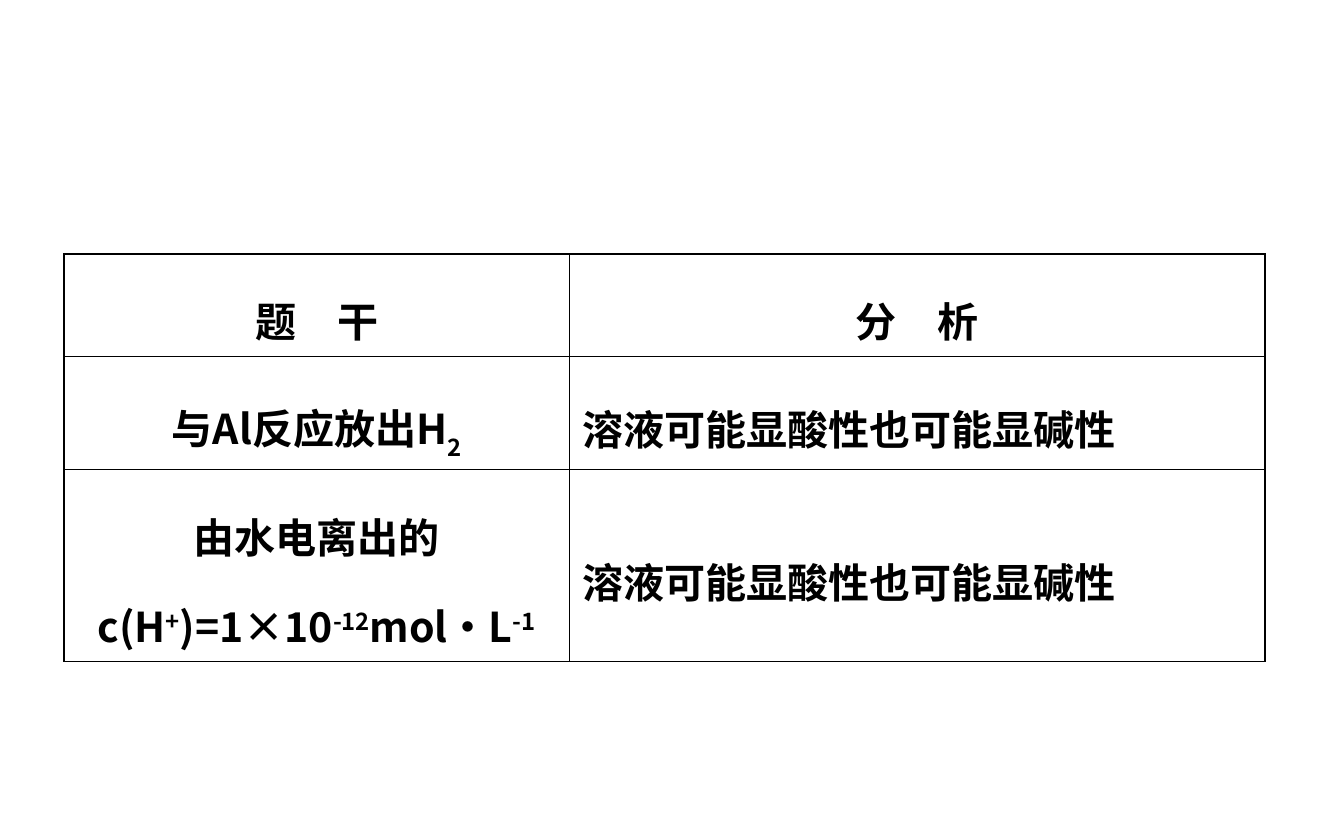
from lxml.etree import SubElement
from pptx import Presentation
from pptx.dml.color import RGBColor
from pptx.enum.lang import MSO_LANGUAGE_ID
from pptx.enum.text import MSO_ANCHOR, PP_ALIGN
from pptx.oxml.ns import qn
from pptx.util import Pt

PX = 914400 / 134.4
BLACK = RGBColor(0, 0, 0)
FACE = "Noto Sans CJK SC"
FONT = {"name": FACE, "size": Pt(22), "bold": True,
        "language_id": MSO_LANGUAGE_ID.SIMPLIFIED_CHINESE}
THIN, THICK = Pt(0.45), Pt(0.96)
COLS = [505, 696]
ROWS = [87, 112, 175]
BASE = {"^": "30000", "_": "-30000"}
NOTE = [("溶液可能显酸性也可能显碱性", "")]
CELLS = [
    [[("题　干", "")], [("分　析", "")]],
    [[("与Al反应放出H", ""), ("2", "_")], NOTE],
    [[("由水电离出的c(H", ""), ("+", "^"), (")=1×10", ""),
      ("-12", "^"), ("mol·L", ""), ("-1", "^")], NOTE],
]


def px(n):
    """Turn pixels into EMU."""
    return round(n * PX)


def style(obj, vals):
    """Set each attribute in vals on obj."""
    for key, val in vals.items():
        setattr(obj, key, val)


def edge(cell, side, width):
    """Draw one black border of a cell."""
    line = SubElement(cell._tc.get_or_add_tcPr(), qn(f"a:ln{side}"), w=str(width))
    fill = SubElement(line, qn("a:solidFill"))
    SubElement(fill, qn("a:srgbClr"), val=str(BLACK))


def write(para, runs):
    """Add text runs, raised or lowered by their mark."""
    for text, mark in runs:
        run = para.add_run()
        run.text = text
        style(run.font, FONT)
        run.font.color.rgb = BLACK
        props = run.font._element
        SubElement(props, qn("a:ea"), typeface=FACE)
        if mark:
            props.set("baseline", BASE[mark])


def grid(slide, left, top):
    """Place the table of stems and analysis."""
    table = slide.shapes.add_table(len(ROWS), len(COLS), px(left), px(top),
                                   px(sum(COLS)), px(sum(ROWS))).table
    style(table, {"first_row": False, "horz_banding": False})
    for col, wide in zip(table.columns, COLS):
        col.width = px(wide)
    for row, tall in zip(table.rows, ROWS):
        row.height = px(tall)
    for r, line in enumerate(CELLS):
        for c, runs in enumerate(line):
            cell = table.cell(r, c)
            outer = {"L": c == 0, "R": c == len(COLS) - 1,
                     "T": r == 0, "B": r == len(ROWS) - 1}
            for side, out in outer.items():
                edge(cell, side, THICK if out else THIN)
            cell.fill.background()
            cell.vertical_anchor = MSO_ANCHOR.MIDDLE
            para = cell.text_frame.paragraphs[0]
            mid = r == 0 or c == 0
            style(para, {"alignment": PP_ALIGN.CENTER if mid else PP_ALIGN.LEFT,
                         "line_spacing": 1.5})
            write(para, runs)


def main():
    """Build and save the slide."""
    deck = Presentation()
    style(deck, {"slide_width": px(1344), "slide_height": px(840)})
    slide = deck.slides.add_slide(deck.slide_layouts[6])
    grid(slide, 64, 254)
    deck.save("out.pptx")


if __name__ == "__main__":
    main()
